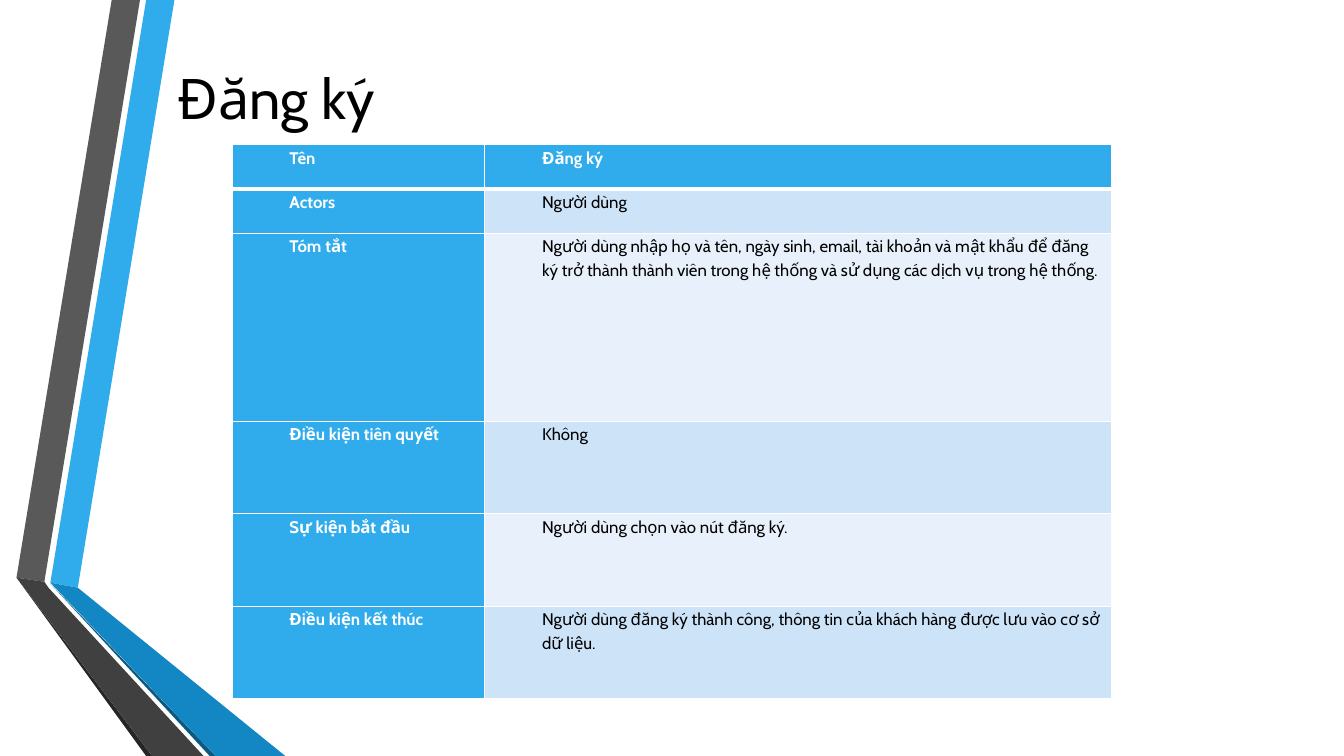
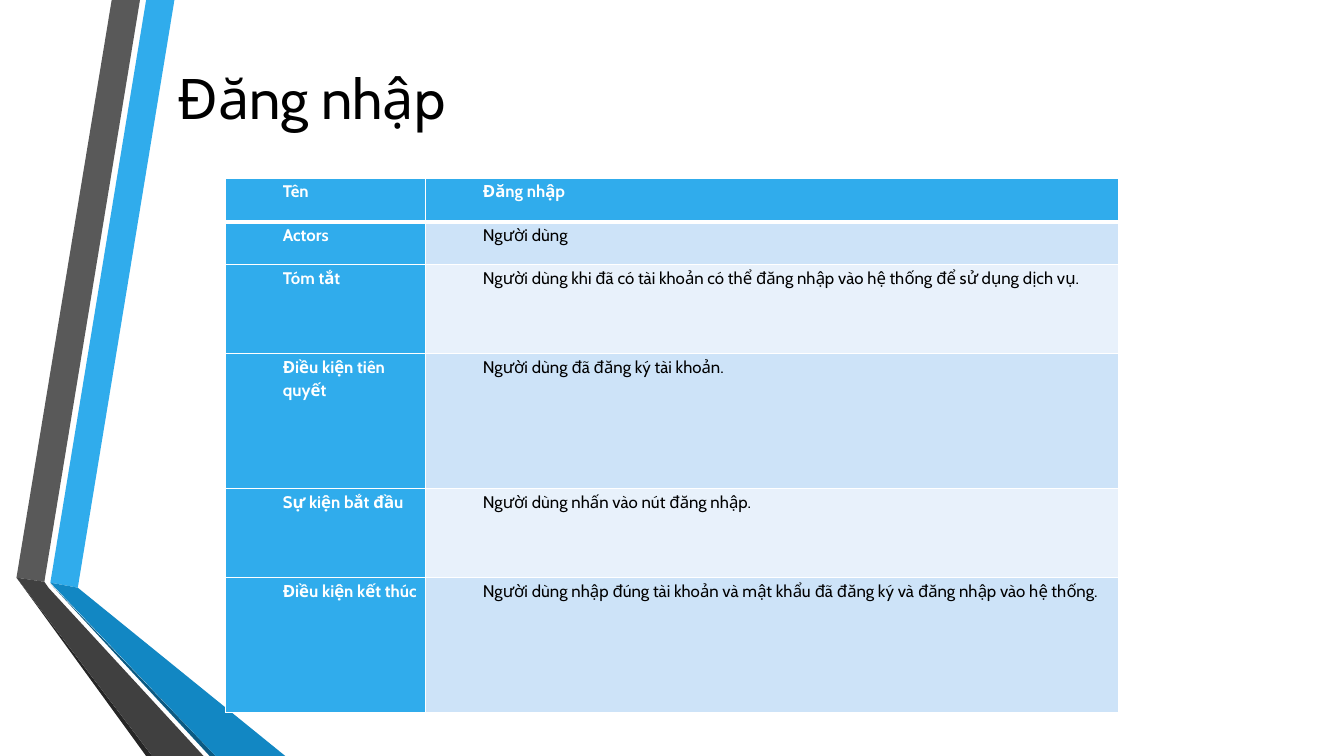
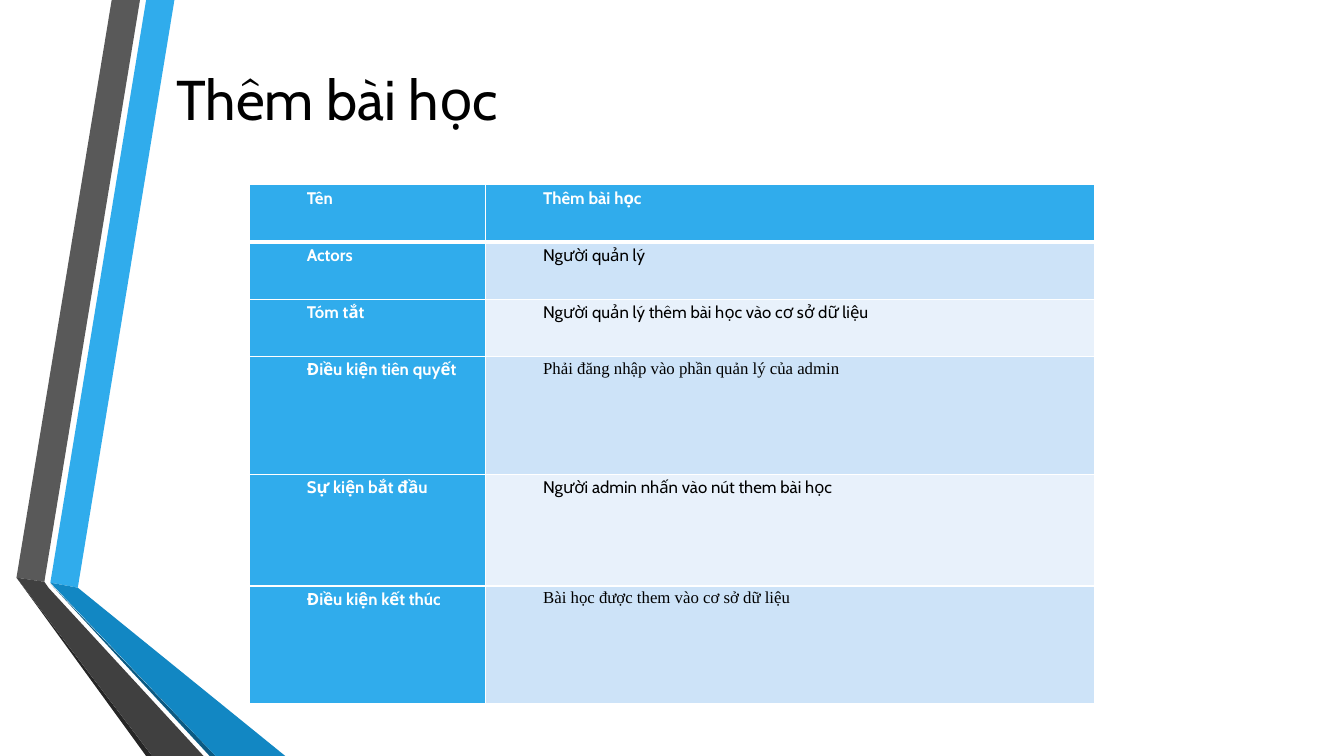
import pptx
import pptx.dml.color
import pptx.enum.text
import pptx.oxml.ns
import pptx.util
from lxml import etree

Pt = pptx.util.Pt

BLUE, WHITE, BLACK = "30ACEC", "FFFFFF", "000000"
BANDS = ["CDE3F8", "E8F1FB"]
SANS, SERIF = "Cabin", "Times New Roman"
TITLE_BOX = (119.5, 0, 789.1, 138.2)
ROW_LABELS = ["Tên", "Actors", "Tóm tắt", "Điều kiện tiên quyết",
              "Sự kiện bắt đầu", "Điều kiện kết thúc"]

RIBBONS = [
    (BLUE, [(36, 416.2), (55.6, 419.8), (124.6, 0), (104.4, 0)]),
    ("595959", [(100, 0), (79.8, 0), (11.8, 412.6), (31.7, 415.6)]),
    ("262626", [(11.8, 412.6), (104.4, 540), (108.7, 540)]),
    ("0C5A82", [(36, 416.9), (149.8, 540), (154.1, 540)]),
    ("1287C3", [(36, 416.2), (154.1, 540), (203.8, 540), (55.6, 419.8)]),
    ("404040", [(145.4, 540), (34.6, 419.8), (31.7, 415.6), (11.8, 412.6),
                (108.7, 540)]),
]

USE_CASES = [
    {
        "title": "Đăng ký",
        "table_origin": (165.8, 103.4),
        "columns": [180.5, 447.5],
        "rows": [31.6, 31.6, 134.4, 66.1, 66.1, 66.1],
        "values": [
            "Đăng ký",
            "Người dùng",
            "Người dùng nhập họ và tên, ngày sinh, email, tài khoản và mật khẩu để đăng ký trở thành thành viên trong hệ thống và sử dụng các dịch vụ trong hệ thống.",
            "Không",
            "Người dùng chọn vào nút đăng ký.",
            "Người dùng đăng ký thành công, thông tin của khách hàng được lưu vào cơ sở dữ liệu.",
        ],
    },
    {
        "title": "Đăng nhập",
        "table_origin": (161, 127.6),
        "columns": [143, 495],
        "rows": [30.8, 30.8, 63.6, 96.4, 63.6, 96.4],
        "values": [
            "Đăng nhập",
            "Người dùng",
            "Người dùng khi đã có tài khoản có thể đăng nhập vào hệ thống để sử dụng dịch vụ.",
            "Người dùng đã đăng ký tài khoản.",
            "Người dùng nhấn vào nút đăng nhập.",
            "Người dùng nhập đúng tài khoản và mật khẩu đã đăng ký và đăng nhập vào hệ thống.",
        ],
    },
    {
        "title": "Thêm bài học",
        "title_box": (118.8, 0.7, 789.1, 138.2),
        "table_origin": (178.2, 132),
        "columns": [168.8, 434.8],
        "rows": [40.9, 40.9, 40.9, 84.2, 79.8, 84.2],
        "serif_rows": [3, 5],
        "values": [
            "Thêm bài học",
            "Người quản lý",
            "Người quản lý thêm bài học vào cơ sở dữ liệu",
            "Phải đăng nhập vào phần quản lý của admin",
            "Người admin nhấn vào nút them bài học",
            "Bài học được them vào cơ sở dữ liệu",
        ],
    },
]


def rgb(color):
    return pptx.dml.color.RGBColor.from_string(color)


def fill_solid(item, color):
    item.fill.solid()
    item.fill.fore_color.rgb = rgb(color)


def style_font(font, size, color, name=SANS, bold=False):
    font.size = Pt(size)
    font.name = name
    font.bold = bold
    font.color.rgb = rgb(color)


def move_ribbons_to_layout(page, layout):
    for index, (color, points) in enumerate(RIBBONS):
        corners = [(Pt(x), Pt(y)) for x, y in points]
        builder = page.shapes.build_freeform(*corners[0])
        builder.add_line_segments(corners[1:], close=True)
        ribbon = builder.convert_to_shape()
        ribbon.name = f"Ribbon {index + 1}"
        ribbon.shadow.inherit = False
        fill_solid(ribbon, color)
        ribbon.line.fill.background()
        ribbon.element.nvSpPr.cNvPr.set("id", str(101 + index))
        layout.shapes.element.insert(2 + index, ribbon.element)


def place_title(page, text, box):
    title = page.shapes.title
    title.left, title.top, title.width, title.height = map(Pt, box)
    frame = title.text_frame
    frame.text = text
    frame.auto_size = pptx.enum.text.MSO_AUTO_SIZE.NONE
    frame.vertical_anchor = pptx.enum.text.MSO_ANCHOR.MIDDLE
    para = frame.paragraphs[0]
    para.alignment = pptx.enum.text.PP_ALIGN.LEFT
    style_font(para.font, 40, BLACK)


def add_borders(cell, widths):
    properties = cell._tc.get_or_add_tcPr()
    for index, (side, width) in enumerate(widths.items()):
        line = etree.Element(pptx.oxml.ns.qn(f"a:ln{side}"), w=str(Pt(width)))
        paint = etree.SubElement(line, pptx.oxml.ns.qn("a:solidFill"))
        etree.SubElement(paint, pptx.oxml.ns.qn("a:srgbClr"), val=WHITE)
        properties.insert(index, line)


def fill_cell(cell, text, row, is_label, font_name):
    is_heading = is_label or row == 0
    cell.margin_left = cell.margin_right = Pt(5)
    cell.margin_top = cell.margin_bottom = Pt(0)
    cell.text = text
    para = cell.text_frame.paragraphs[0]
    para.line_spacing = 1.15
    para.space_after = Pt(10)
    para._p.get_or_add_pPr().set("marL", str(Pt(36)))
    style_font(para.font, 12, WHITE if is_heading else BLACK, font_name, is_heading)
    fill_solid(cell, BLUE if is_heading else BANDS[(row - 1) % 2])
    add_borders(cell, {"L": 1, "R": 1, "T": 3 if row == 1 else 1,
                       "B": 3 if row == 0 else 1})


def place_table(page, origin, columns, rows, values, serif_rows):
    size = (sum(columns), sum(rows))
    table = page.shapes.add_table(
        len(rows), len(columns), *map(Pt, origin + size)).table
    table.horz_banding = False
    for column, width in zip(table.columns, columns):
        column.width = Pt(width)
    for index, height in enumerate(rows):
        table.rows[index].height = Pt(height)
        value_font = SERIF if index in serif_rows else SANS
        fill_cell(table.cell(index, 0), ROW_LABELS[index], index, True, SANS)
        fill_cell(table.cell(index, 1), values[index], index, False, value_font)


def build_use_case(page, case):
    place_title(page, case["title"], case.get("title_box", TITLE_BOX))
    place_table(page, case["table_origin"], case["columns"], case["rows"],
                case["values"], case.get("serif_rows", []))


def main():
    deck = pptx.Presentation()
    deck.slide_width, deck.slide_height = Pt(960), Pt(540)
    layout = deck.slide_layouts.get_by_name("Title Only")
    pages = [deck.slides.add_slide(layout) for _ in USE_CASES]
    move_ribbons_to_layout(pages[0], layout)
    for page, case in zip(pages, USE_CASES):
        build_use_case(page, case)
    deck.save("out.pptx")


if __name__ == "__main__":
    main()
